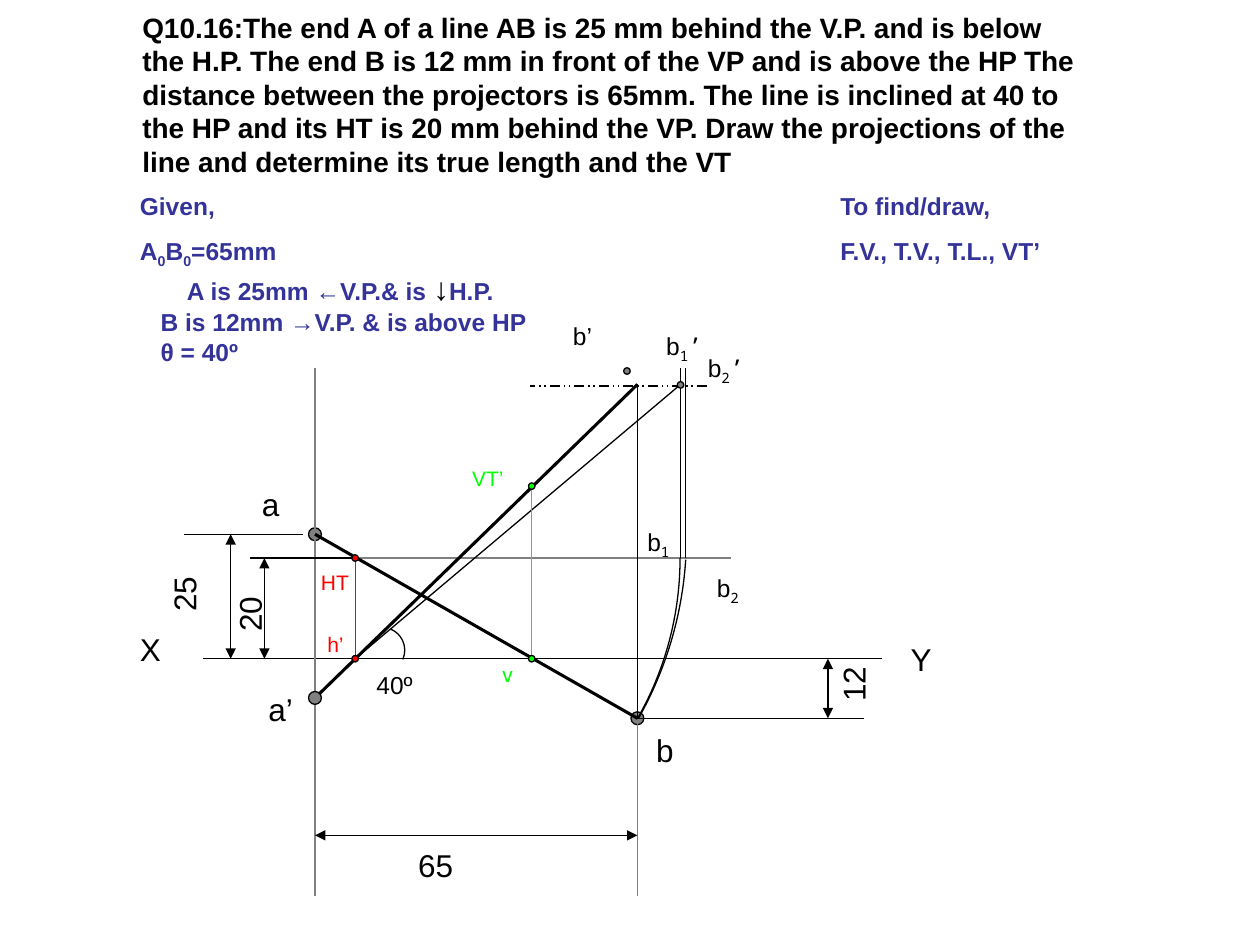
from dataclasses import dataclass

from lxml.etree import SubElement
from pptx import Presentation
from pptx.dml.color import RGBColor
from pptx.enum.dml import MSO_LINE_DASH_STYLE as Dash
from pptx.enum.shapes import MSO_CONNECTOR as Connector, MSO_SHAPE as Shape
from pptx.enum.text import MSO_AUTO_SIZE as AutoSize
from pptx.oxml.ns import qn
from pptx.util import Cm, Pt


@dataclass(frozen=True)
class Theme:
    font: str = "Arial"
    index_font: str = "Noto Sans Mono"
    black: RGBColor = RGBColor(0, 0, 0)
    gray: RGBColor = RGBColor(0x80, 0x80, 0x80)
    navy: RGBColor = RGBColor(0x33, 0x33, 0x99)
    red: RGBColor = RGBColor(0xFF, 0, 0)
    green: RGBColor = RGBColor(0, 0xFF, 0)
    title: int = 16
    large: int = 18
    medium: int = 14
    small: int = 12
    thin: float = 0.75
    thick: float = 1.75


THEME = Theme()

AXIS_Y = 13.28
A_X, B_X = 6.35, 12.85
A_TOP, A_FRONT = 10.77, 14.07
B_TOP, B_FRONT = 14.48, 7.75
TRACE_Y = 11.25
HT_X, VT_X, VT_Y = 7.16, 10.72, 9.8
B1_X, B2_X = 13.72, 13.82
PROJECTOR_TOP, PROJECTOR_END = 7.41, 18.06

QUESTION = (
    "Q10.16:The end A of a line AB is 25 mm behind the V.P. and is below "
    "the H.P. The end B is 12 mm in front of the VP and is above the HP The "
    "distance between the projectors is 65mm. The line is inclined at 40 to "
    "the HP and its HT is 20 mm behind the VP. Draw the projections of the "
    "line and determine its true length and the VT"
)


def style(span, size, color, bold=False, font=THEME.font):
    span.font.name = font
    span.font.size = Pt(size)
    span.font.color.rgb = color
    span.font.bold = bold


def lower(span):
    span._r.get_or_add_rPr().set("baseline", "-25000")


def add_box(page, left, top, width, height):
    box = page.shapes.add_textbox(Cm(left), Cm(top), Cm(width), Cm(height))
    box.text_frame.word_wrap = True
    box.text_frame.auto_size = AutoSize.SHAPE_TO_FIT_TEXT
    return box


def add_text(page, text, left, top, width, height, size,
             color=THEME.black, bold=False, rotation=0):
    box = add_box(page, left, top, width, height)
    box.rotation = rotation
    box.text_frame.text = text
    for index, para in enumerate(box.text_frame.paragraphs):
        if index:
            para.space_before = Pt(8.8)
        for span in para.runs:
            style(span, size, color, bold)
    return box


def add_indexed_label(page, parts, left, top):
    box = add_box(page, left, top, 1.42, 0.94)
    para = box.text_frame.paragraphs[0]
    for index, part in enumerate(parts):
        span = para.add_run()
        span.text = part
        font = THEME.index_font if index else THEME.font
        style(span, THEME.medium, THEME.black, font=font)
        if part.isdigit():
            lower(span)


def add_line(page, x1, y1, x2, y2, color=THEME.black, width=THEME.thin, arrows=False):
    line = page.shapes.add_connector(Connector.STRAIGHT, Cm(x1), Cm(y1), Cm(x2), Cm(y2))
    line.line.color.rgb = color
    line.line.width = Pt(width)
    if arrows:
        outline = line.line._get_or_add_ln()
        for end in ("a:headEnd", "a:tailEnd"):
            SubElement(outline, qn(end)).set("type", "triangle")
    SubElement(line._element.spPr, qn("a:effectLst"))
    return line


def add_round(page, kind, x, y, radius):
    shape = page.shapes.add_shape(
        kind, Cm(x - radius), Cm(y - radius), Cm(2 * radius), Cm(2 * radius))
    shape.shadow.inherit = False
    shape.line.color.rgb = THEME.black
    shape.line.width = Pt(THEME.thin)
    return shape


def add_point(page, x, y, color=THEME.gray, radius=0.065):
    point = add_round(page, Shape.OVAL, x, y, radius)
    point.fill.solid()
    point.fill.fore_color.rgb = color


def add_arc(page, x, y, radius, start, end):
    arc = add_round(page, Shape.ARC, x, y, radius)
    arc.fill.background()
    for index, degrees in enumerate((start, end)):
        arc.adjustments[index] = degrees * 0.6


def add_given(page):
    lines = ("Given,", "A0B0=65mm", "A is 25mm ←V.P.& is ↓H.P.",
             "B is 12mm →V.P. & is above HP", "θ = 40º")
    box = add_text(page, "\n".join(lines), 2.57, 3.73, 8.71, 3.78,
                   THEME.medium, THEME.navy, True)
    paras = box.text_frame.paragraphs
    for para, parts in ((paras[1], ("A", "0", "B", "0", "=65mm")),
                        (paras[2], ("A is 25mm ←V.P.& is ", "↓", "H.P."))):
        para.text = ""
        for part in parts:
            span = para.add_run()
            span.text = part
            style(span, THEME.medium, THEME.navy, True)
            if part == "0":
                lower(span)
            elif part == "↓":
                style(span, THEME.large, THEME.black, True)
    for para, indent in zip(paras[2:], (0.95, 0.42, 0.42)):
        para.space_before = Pt(0)
        para._p.get_or_add_pPr().set("marL", str(Cm(indent)))


def add_construction(page):
    for x, y in ((A_X, A_TOP), (B_X, B_TOP)):
        add_point(page, x, y, radius=0.13)
    add_line(page, 4.09, AXIS_Y, 17.78, AXIS_Y)
    add_line(page, A_X, PROJECTOR_TOP, A_X, PROJECTOR_END, THEME.gray)
    add_line(page, B_X, 11.86, B_X, PROJECTOR_END, THEME.gray)
    add_line(page, 6.1, A_TOP, 3.71, A_TOP)
    add_line(page, 17.42, B_TOP, B_X, B_TOP)
    add_line(page, 5.03, TRACE_Y, 8.94, TRACE_Y)
    add_line(page, HT_X, TRACE_Y, 14.73, TRACE_Y, THEME.gray)
    for x, top, bottom in ((4.65, A_TOP, AXIS_Y), (5.33, TRACE_Y, AXIS_Y),
                           (16.69, AXIS_Y, B_TOP)):
        add_line(page, x, top, x, bottom, arrows=True)
    add_line(page, A_X, 16.84, B_X, 16.84, arrows=True)
    add_line(page, HT_X, TRACE_Y, HT_X, AXIS_Y, THEME.red)
    for x in (B1_X, B2_X):
        add_line(page, x, TRACE_Y, x, PROJECTOR_TOP)
    add_line(page, HT_X, AXIS_Y, B1_X, B_FRONT)
    add_line(page, B_X, B_TOP, B_X, B_FRONT)
    locus = add_line(page, 14.25, 7.78, 10.69, 7.78)
    locus.line.dash_style = Dash.DASH_DOT_DOT
    add_arc(page, 7.18, TRACE_Y, 6.53, 0, 29.7)
    add_arc(page, A_X, 10.8, 7.49, 3.7, 29.4)
    add_arc(page, 7.7, 13.11, 0.46, 292.4, 23.6)
    add_line(page, A_X, A_TOP, B_X, B_TOP, width=THEME.thick)
    add_line(page, B_X, B_FRONT, A_X, A_FRONT, width=THEME.thick)
    add_line(page, VT_X, AXIS_Y, VT_X, VT_Y, THEME.green)
    add_point(page, A_X, A_FRONT, radius=0.13)
    for x, y, color in ((HT_X, TRACE_Y, THEME.red), (HT_X, AXIS_Y, THEME.red),
                        (VT_X, AXIS_Y, THEME.green), (VT_X, VT_Y, THEME.green),
                        (B1_X, 7.76, THEME.gray), (12.64, 7.48, THEME.gray)):
        add_point(page, x, y, color)


def add_labels(page):
    for text, left, top, width in (
            ("X", 2.57, 12.57, 1.5), ("Y", 18.11, 12.78, 1.35),
            ("a", 5.03, 9.65, 1.19), ("a’", 5.16, 13.79, 1.19),
            ("b", 12.98, 14.61, 1.19), ("65", 8.18, 16.94, 1.22)):
        add_text(page, text, left, top, width, 1.02, THEME.large)
    for text, left, top in (("25", 3.1, 11.46), ("20", 4.42, 11.86), ("12", 16.59, 13.28)):
        add_text(page, text, left, top, 1.22, 1.02, THEME.large, rotation=270)
    for text, left, top, color in (
            ("HT", 6.22, 11.35, THEME.red), ("h’", 6.35, 12.6, THEME.red),
            ("v", 9.88, 13.21, THEME.green), ("VT’", 9.27, 9.27, THEME.green)):
        add_text(page, text, left, top, 1.19, 0.76, THEME.small, color)
    add_text(page, "40º", 7.34, 13.39, 1.7, 0.86, THEME.medium)
    add_text(page, "b’", 11.3, 6.35, 1.07, 0.86, THEME.medium)
    for parts, left, top in ((("b", "1"), 12.8, 10.49), (("b", "2"), 14.2, 11.43),
                             (("b", "1", "’"), 13.18, 6.55),
                             (("b", "2", "’"), 14.02, 6.99)):
        add_indexed_label(page, parts, left, top)


def main():
    deck = Presentation()
    deck.slide_width, deck.slide_height = Cm(25.4), Cm(19.05)
    page = deck.slides.add_slide(deck.slide_layouts[6])
    add_text(page, QUESTION, 2.62, 0.08, 19.61, 3.66, THEME.title, bold=True)
    add_given(page)
    add_text(page, "To find/draw,\nF.V., T.V., T.L., VT’", 16.69, 3.73, 8.71, 1.75,
             THEME.medium, THEME.navy, True)
    add_construction(page)
    add_labels(page)
    deck.save("out.pptx")


if __name__ == "__main__":
    main()
